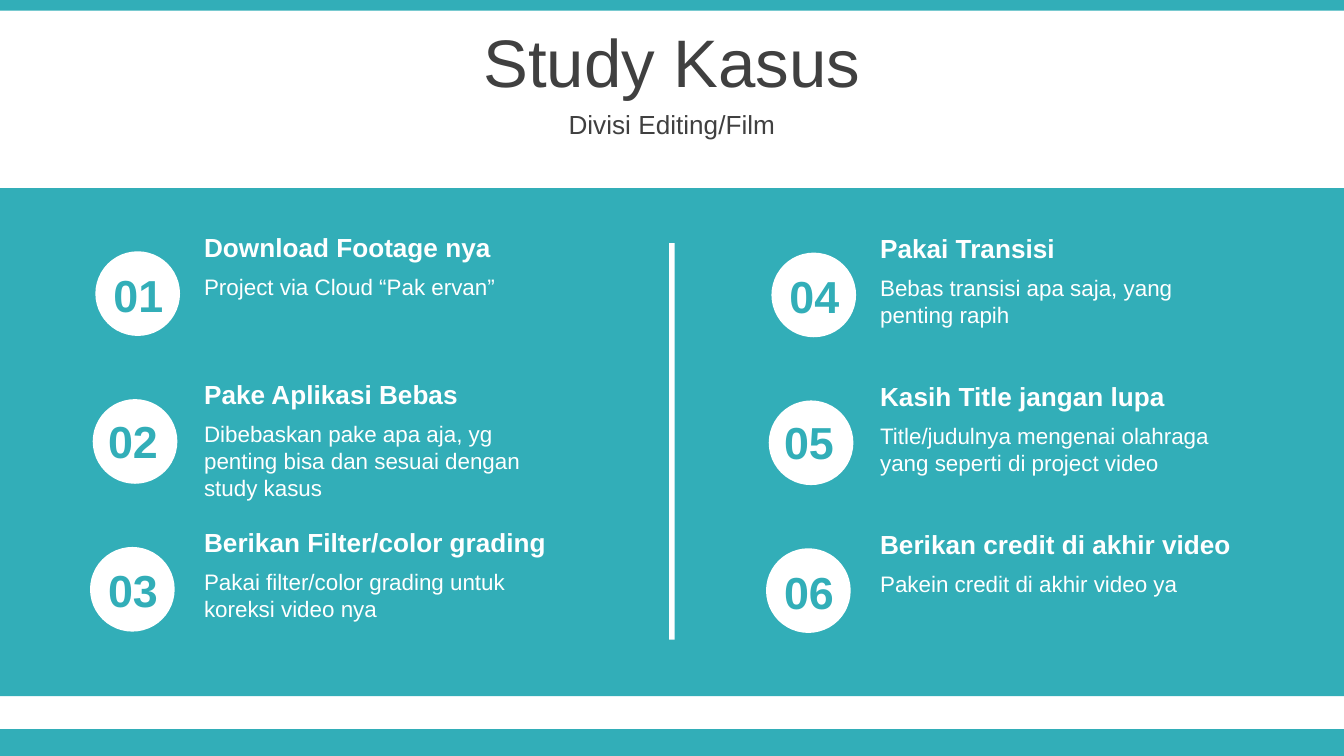
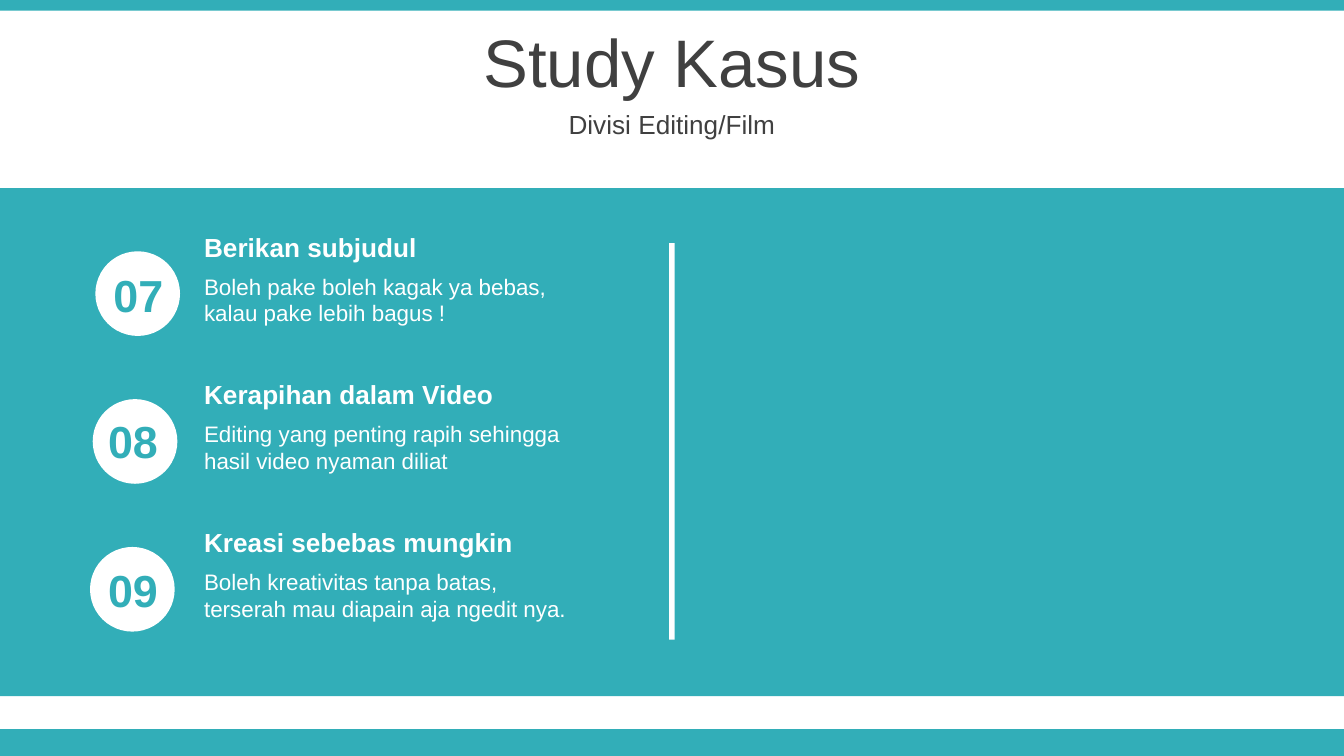
import dataclasses

import pptx
import pptx.dml.color
import pptx.enum.shapes
import pptx.enum.text
import pptx.util

Inches = pptx.util.Inches
Pt = pptx.util.Pt
RGB = pptx.dml.color.RGBColor
MSO_SHAPE = pptx.enum.shapes.MSO_SHAPE
MSO_ANCHOR = pptx.enum.text.MSO_ANCHOR
MSO_AUTO_SIZE = pptx.enum.text.MSO_AUTO_SIZE
PP_ALIGN = pptx.enum.text.PP_ALIGN


@dataclasses.dataclass(frozen=True)
class Theme:
    font: str = "Arial"
    teal: RGB = RGB(0x32, 0xAE, 0xB8)
    white: RGB = RGB(0xFF, 0xFF, 0xFF)
    dark: RGB = RGB(0x40, 0x40, 0x40)
    title: int = 36
    number: int = 24
    heading: int = 14
    body: int = 12


@dataclasses.dataclass(frozen=True)
class Step:
    number: str
    heading: str
    body: str
    lines: int


THEME = Theme()
WIDTH = 10
HEIGHT = WIDTH * 9 / 16

ROW_PITCH = 1.1
CIRCLE_SIZE = 0.63
CIRCLE_SHIFT = -0.02
NUMBER_OFFSETS = [(0.01, 0.27), (-0.03, 0.26), (-0.03, 0.27)]
COLUMN_BOXES = [(0.67, 1.67), (5.7, 1.68)]

TITLE = "Study Kasus"
SUBTITLE = "Divisi Editing/Film"
SLIDES = [
    [
        [
            Step("01", "Download Footage nya", "Project via Cloud “Pak ervan”", 1),
            Step("02", "Pake Aplikasi Bebas",
                 "Dibebaskan pake apa aja, yg penting bisa dan sesuai dengan study kasus", 3),
            Step("03", "Berikan Filter/color grading",
                 "Pakai filter/color grading untuk koreksi video nya", 2),
        ],
        [
            Step("04", "Pakai Transisi", "Bebas transisi apa saja, yang penting rapih", 2),
            Step("05", "Kasih Title jangan lupa",
                 "Title/judulnya mengenai olahraga yang seperti di project video", 2),
            Step("06", "Berikan credit di akhir video", "Pakein credit di akhir video ya", 1),
        ],
    ],
    [
        [
            Step("07", "Berikan subjudul",
                 "Boleh pake boleh kagak ya bebas, kalau pake lebih bagus !", 2),
            Step("08", "Kerapihan dalam Video",
                 "Editing yang penting rapih sehingga hasil video nyaman diliat", 2),
            Step("09", "Kreasi sebebas mungkin",
                 "Boleh kreativitas tanpa batas, terserah mau diapain aja ngedit nya.", 2),
        ],
    ],
]


def add_solid(shapes, kind, x, y, w, h, color):
    sp = shapes.add_shape(kind, Inches(x), Inches(y), Inches(w), Inches(h))
    sp.shadow.inherit = False
    sp.fill.solid()
    sp.fill.fore_color.rgb = color
    sp.line.fill.background()


def add_text(shapes, x, y, w, h, text, size, color, bold=False, align=PP_ALIGN.LEFT):
    """Add a one-paragraph box that grows with its text, and return its frame."""
    sp = shapes.add_textbox(Inches(x), Inches(y), Inches(w), Inches(h))
    tf = sp.text_frame
    tf.word_wrap = True
    tf.auto_size = MSO_AUTO_SIZE.SHAPE_TO_FIT_TEXT
    p = tf.paragraphs[0]
    p.alignment = align
    r = p.add_run()
    r.text = text
    r.font.name = THEME.font
    r.font.size = Pt(size)
    r.font.bold = bold
    r.font.color.rgb = color
    return tf


def add_frame(s):
    """Draw the bands at the slide's edges and the panel behind the steps."""
    for y, h in [(HEIGHT - 0.2, 0.2), (0, 0.08), (1.4, 3.78)]:
        add_solid(s.shapes, MSO_SHAPE.RECTANGLE, 0, y, WIDTH, h, THEME.teal)


def add_header(s, x, y, w):
    title_height = 0.63
    for text, size, dy, h in [(TITLE, THEME.title, 0, title_height),
                              (SUBTITLE, THEME.heading, title_height, 0.31)]:
        tf = add_text(s.shapes, x, y + dy, w, h, text, size, THEME.dark, align=PP_ALIGN.CENTER)
        tf.auto_size = MSO_AUTO_SIZE.NONE
        tf.vertical_anchor = MSO_ANCHOR.MIDDLE
        tf.paragraphs[0].space_before = Pt(size * 0.2)


def add_step_text(s, x, y, step):
    group = s.shapes.add_group_shape()
    add_text(group.shapes, x, y + 0.31, 2.91, 0.1 + 0.2 * step.lines,
             step.body, THEME.body, THEME.white)
    add_text(group.shapes, x, y, 2.91, 0.34, step.heading, THEME.heading, THEME.white, bold=True)


def add_step_column(s, x, y, steps):
    """Stack the steps down from (x, y); each circle sits a little left of the one above."""
    for i, (step, (dx, dy)) in enumerate(zip(steps, NUMBER_OFFSETS)):
        top = y + i * ROW_PITCH
        add_solid(s.shapes, MSO_SHAPE.OVAL, x + 0.04 + i * CIRCLE_SHIFT, top + 0.2,
                  CIRCLE_SIZE, CIRCLE_SIZE, THEME.white)
        add_step_text(s, x + 0.75, top, step)
        add_text(s.shapes, x + dx, top + dy, 0.7, 0.5, step.number, THEME.number,
                 THEME.teal, bold=True, align=PP_ALIGN.CENTER)


def add_steps_slide(prs, columns):
    s = prs.slides.add_slide(prs.slide_layouts[6])
    add_frame(s)
    add_header(s, 0, 0.14, WIDTH)
    for (x, y), steps in zip(COLUMN_BOXES, columns):
        add_step_column(s, x, y, steps)
    add_solid(s.shapes, MSO_SHAPE.RECTANGLE, 4.98, 1.81, 0.04, 2.95, THEME.white)


def main():
    prs = pptx.Presentation()
    prs.slide_width = Inches(WIDTH)
    prs.slide_height = Inches(HEIGHT)
    for columns in SLIDES:
        add_steps_slide(prs, columns)
    prs.save("out.pptx")


if __name__ == "__main__":
    main()
